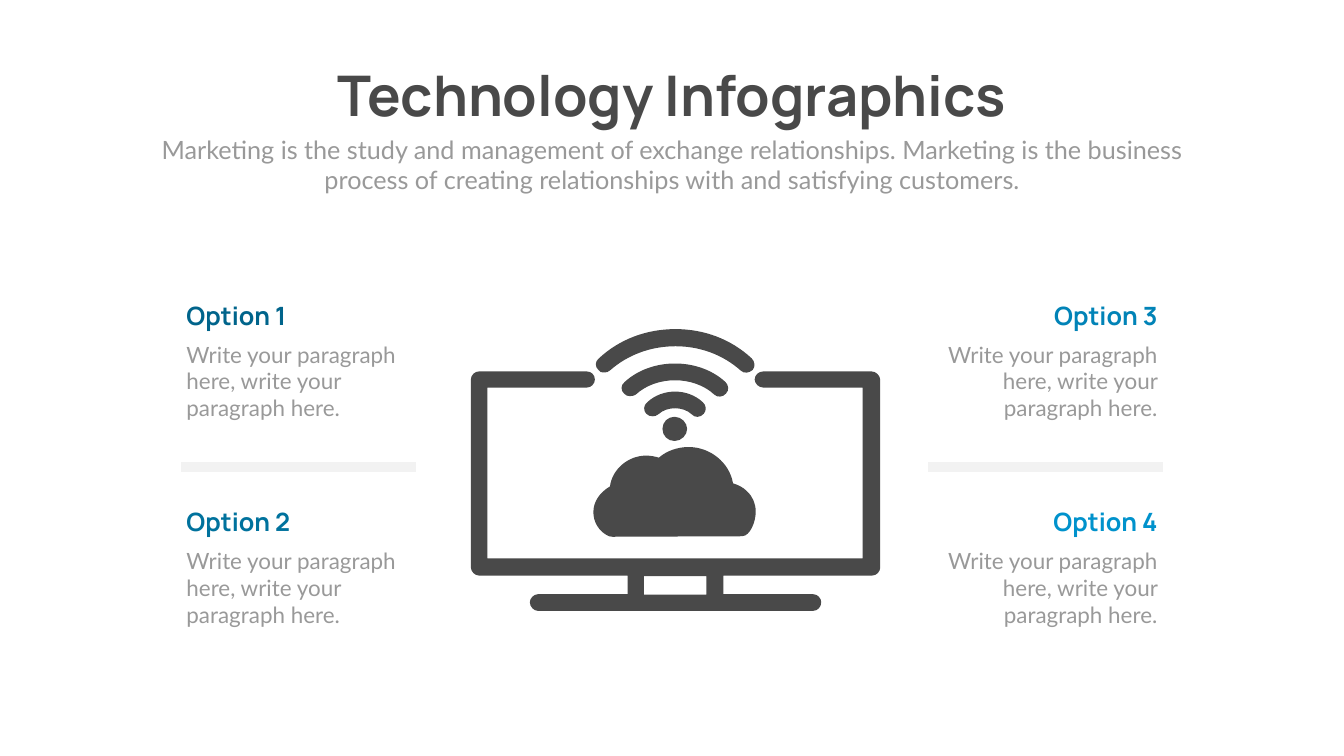
from dataclasses import dataclass

from lxml.etree import SubElement
from pptx import Presentation
from pptx.dml.color import RGBColor
from pptx.enum.shapes import MSO_CONNECTOR as Connector
from pptx.enum.text import MSO_AUTO_SIZE as AutoSize, PP_ALIGN as Align
from pptx.oxml.ns import qn
from pptx.util import Inches, Pt


@dataclass(frozen=True)
class Theme:
    dark: str = "494949"
    gray: str = "999999"
    rule: str = "F2F2F2"
    options: tuple = ("00648B", "00729D", "0183B7", "0092CC")
    heading_font: str = "Manrope"
    body_font: str = "Lato"
    title_size: int = 80
    heading_size: int = 36
    body_size: int = 32
    rule_width: int = 15


theme = Theme()
presentation = Presentation()
presentation.slide_width = Inches(26.66)
presentation.slide_height = Inches(15)
slide = presentation.slides.add_slide(presentation.slide_layouts[6])


def add_text(text, left, top, width, height, *, size, color, font=theme.body_font,
             bold=False, align=Align.LEFT, wrap=True):
    shape = slide.shapes.add_textbox(Inches(left), Inches(top), Inches(width), Inches(height))
    frame = shape.text_frame
    frame.word_wrap = wrap
    frame.auto_size = AutoSize.SHAPE_TO_FIT_TEXT
    paragraph = frame.paragraphs[0]
    paragraph.alignment = align
    run = paragraph.add_run()
    run.text = text
    run.font.name = font
    run.font.size = Pt(size)
    run.font.bold = bold
    run.font.color.rgb = RGBColor.from_string(color)


def add_outline(contours, color):
    """Draw contours as one shape: pairs are corners, sextuples are Bézier curves."""
    builder = None
    for contour in contours:
        points = [(Inches(segment[i]), Inches(segment[i + 1]))
                  for segment in contour for i in range(0, len(segment), 2)]
        if builder is None:
            builder = slide.shapes.build_freeform(*points[0])
        else:
            builder.move_to(*points[0])
        builder.add_line_segments(points[1:])
    shape = builder.convert_to_shape()
    # Merge each curve's three line steps into one cubic segment
    lines = iter(list(shape._element.iter(qn("a:lnTo"))))
    for contour in contours:
        for segment in contour[1:]:
            line = next(lines)
            if len(segment) == 6:
                line.tag = qn("a:cubicBezTo")
                for _ in range(2):
                    extra = next(lines)
                    line.append(extra[0])
                    extra.getparent().remove(extra)
    shape.shadow.inherit = False
    shape.fill.solid()
    shape.fill.fore_color.rgb = RGBColor.from_string(color)
    shape.line.fill.background()


# Title and subtitle
add_text("Technology Infographics", 6.04, 1.15, 14.59, 1.45, size=theme.title_size,
         color=theme.dark, font=theme.heading_font, bold=True, align=Align.CENTER, wrap=False)
add_text("Marketing is the study and management of exchange relationships. Marketing is the "
         "business process of creating relationships with and satisfying customers.",
         2.92, 2.61, 20.82, 1.31, size=theme.heading_size, color=theme.gray, align=Align.CENTER)

# Monitor with a cloud and a wireless signal
monitor = [
    (17.29, 7.37), (15.14, 7.37), (15.05, 7.37, 14.97, 7.44, 14.97, 7.53),
    (14.97, 7.61, 15.05, 7.69, 15.14, 7.69), (17.11, 7.69), (17.11, 11.08), (14.17, 11.08),
    (12.61, 11.08), (9.67, 11.08), (9.67, 7.69), (11.64, 7.69),
    (11.73, 7.69, 11.8, 7.61, 11.8, 7.53), (11.8, 7.44, 11.73, 7.37, 11.64, 7.37), (9.5, 7.37),
    (9.42, 7.37, 9.34, 7.44, 9.34, 7.53), (9.34, 11.26), (9.34, 11.34, 9.42, 11.42, 9.5, 11.42),
    (12.45, 11.42), (12.45, 11.79), (10.67, 11.79), (10.59, 11.79, 10.51, 11.87, 10.51, 11.95),
    (10.51, 12.04, 10.59, 12.12, 10.67, 12.12), (12.63, 12.12), (14.18, 12.12), (16.13, 12.12),
    (16.22, 12.12, 16.29, 12.04, 16.29, 11.95), (16.29, 11.87, 16.22, 11.79, 16.13, 11.79),
    (14.35, 11.79), (14.35, 11.42), (17.3, 11.42), (17.39, 11.42, 17.46, 11.34, 17.46, 11.26),
    (17.46, 7.53), (17.45, 7.44, 17.37, 7.37, 17.29, 7.37),
]
stand_gap = [(14.01, 11.8), (12.77, 11.8), (12.77, 11.43), (14.01, 11.43), (14.01, 11.8)]
signal_dot = [
    (13.14, 8.51), (13.14, 8.65, 13.25, 8.75, 13.38, 8.75), (13.52, 8.75, 13.63, 8.63, 13.63, 8.51),
    (13.63, 8.39, 13.52, 8.27, 13.38, 8.27), (13.25, 8.27, 13.14, 8.37, 13.14, 8.51),
]
inner_wave = [
    (13.72, 8.22), (13.55, 8.06, 13.23, 8.06, 13.06, 8.22), (13.02, 8.25, 12.99, 8.26, 12.95, 8.26),
    (12.9, 8.26, 12.86, 8.25, 12.82, 8.21), (12.76, 8.15, 12.76, 8.04, 12.84, 7.98),
    (13.14, 7.7, 13.64, 7.7, 13.94, 7.98), (14.01, 8.04, 14.02, 8.14, 13.96, 8.21),
    (13.89, 8.29, 13.78, 8.29, 13.72, 8.22),
]
middle_wave = [
    (14.17, 7.83), (13.76, 7.45, 13.02, 7.45, 12.61, 7.83), (12.58, 7.85, 12.54, 7.86, 12.5, 7.86),
    (12.45, 7.86, 12.41, 7.85, 12.38, 7.81), (12.31, 7.75, 12.31, 7.64, 12.39, 7.58),
    (12.92, 7.09, 13.86, 7.09, 14.39, 7.58), (14.45, 7.64, 14.47, 7.74, 14.4, 7.81),
    (14.34, 7.88, 14.23, 7.89, 14.17, 7.83),
]
outer_wave = [
    (11.87, 7.34), (11.8, 7.28, 11.8, 7.17, 11.88, 7.11), (12.29, 6.73, 12.82, 6.53, 13.4, 6.53),
    (13.97, 6.53, 14.5, 6.73, 14.91, 7.11), (14.97, 7.17, 14.99, 7.27, 14.93, 7.34),
    (14.86, 7.4, 14.76, 7.42, 14.69, 7.35), (14.34, 7.04, 13.89, 6.87, 13.4, 6.87),
    (12.91, 6.87, 12.45, 7.04, 12.1, 7.35), (12.07, 7.38, 12.03, 7.39, 11.99, 7.39),
    (11.94, 7.4, 11.89, 7.38, 11.87, 7.34),
]
cloud = [
    (11.77, 10.16), (11.77, 10.36, 11.88, 10.55, 12.08, 10.64),
    (12.1, 10.65, 12.13, 10.65, 12.15, 10.65), (14.71, 10.64),
    (14.76, 10.64, 14.8, 10.62, 14.83, 10.59), (14.93, 10.49, 14.99, 10.31, 14.99, 10.15),
    (14.99, 9.99, 14.93, 9.85, 14.81, 9.74), (14.74, 9.67, 14.64, 9.62, 14.54, 9.59),
    (14.47, 9.18, 14.09, 8.87, 13.66, 8.87), (13.45, 8.87, 13.23, 8.94, 13.07, 9.08),
    (13, 9.06, 12.91, 9.04, 12.82, 9.04), (12.45, 9.04, 12.14, 9.32, 12.1, 9.65),
    (11.9, 9.77, 11.77, 9.95, 11.77, 10.16),
]
add_outline([monitor, stand_gap, signal_dot, inner_wave, middle_wave, outer_wave, cloud],
            theme.dark)

# Two columns of two options, each column split by a rule
column_width, heading_width = 4.65, 3.72
columns = [(3.6, Align.LEFT, 0), (18.41, Align.RIGHT, column_width - heading_width)]
for column, (left, align, heading_shift) in enumerate(columns):
    for row in range(2):
        number = 2 * column + row
        top = 5.9 + 4.1 * row
        add_text("Write your paragraph here, write your paragraph here.", left, top + 0.81,
                 column_width, 1.72, size=theme.body_size, color=theme.gray, align=align)
        add_text(f"Option {number + 1}", left + heading_shift, top, heading_width, 0.71,
                 size=theme.heading_size, color=theme.options[number],
                 font=theme.heading_font, bold=True, align=align)
    rule = slide.shapes.add_connector(Connector.STRAIGHT, Inches(left), Inches(9.27),
                                      Inches(left + column_width), Inches(9.27))
    rule.line.color.rgb = RGBColor.from_string(theme.rule)
    rule.line.width = Pt(theme.rule_width)
    SubElement(rule._element.spPr, qn("a:effectLst"))

presentation.save("out.pptx")
